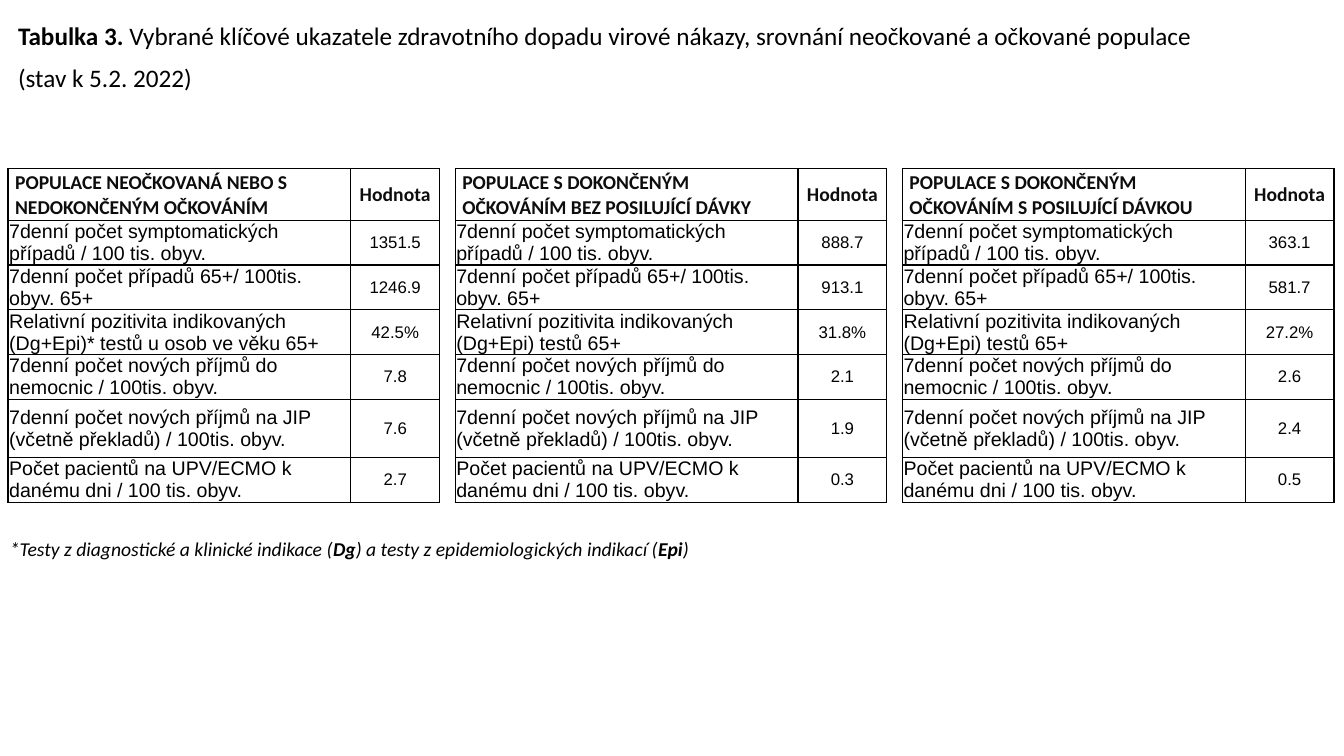
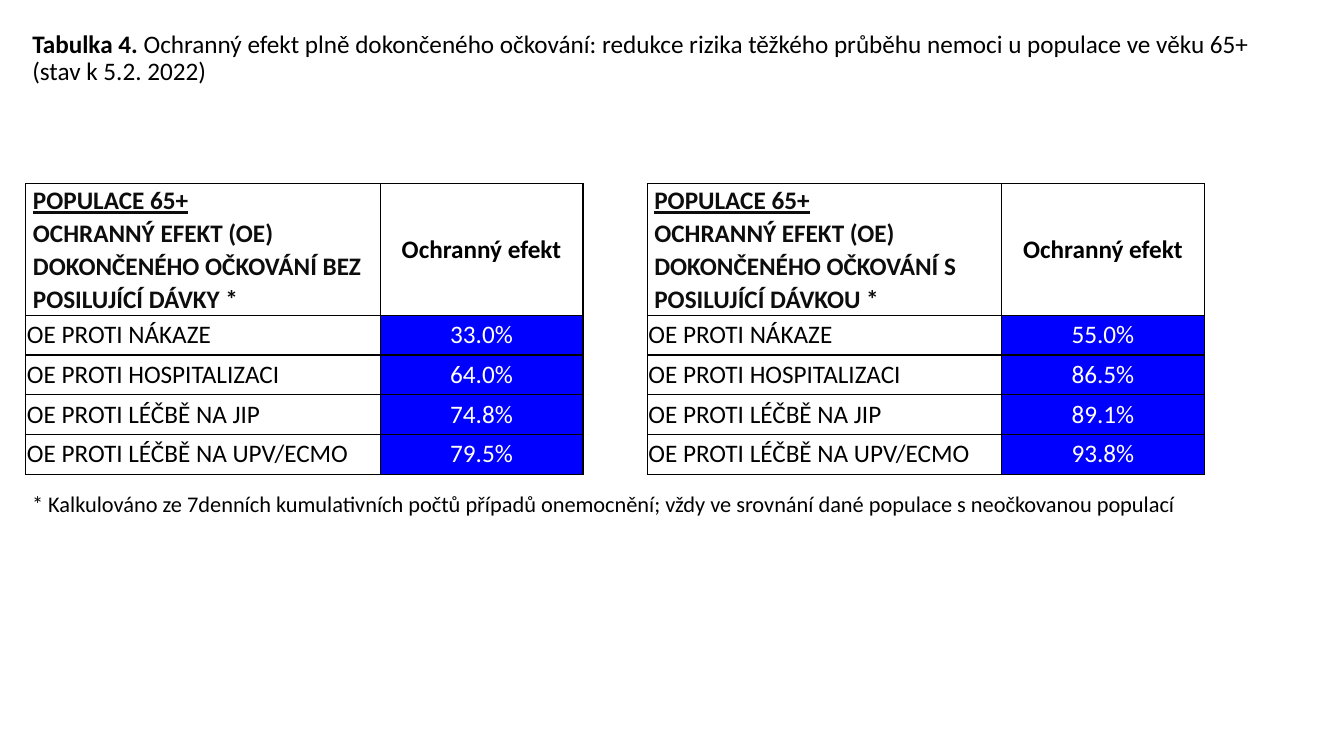
from dataclasses import dataclass

from lxml import etree
from pptx import Presentation
from pptx import util as u
from pptx.dml.color import RGBColor
from pptx.enum import text
from pptx.oxml import ns


@dataclass(frozen=True)
class TableStyle:
    label_font: str
    label_size: int
    value_size: int
    column_head: str
    column_head_ink: str
    value_ink: str
    value_fill: str


@dataclass(frozen=True)
class Theme:
    font: str = "Calibri"
    ink: str = "000000"
    head_ink: str = "0D0D0D"
    paper: str = "FFFFFF"
    title_size: int = 18
    title_spacing: float = 0.9
    head_spacing: float = 1.07
    border: float = 1
    indicators: TableStyle = TableStyle(
        "Arial", 14, 12, "Hodnota", "0D0D0D", "000000", "FFFFFF")
    effects: TableStyle = TableStyle(
        "Calibri", 18, 18, "Ochranný efekt", "000000", "FFFFFF", "0000FF")


class Deck:
    def __init__(self, theme):
        self.theme = theme
        self.presentation = Presentation()
        self.presentation.slide_width = u.Cm(33.87)
        self.presentation.slide_height = u.Cm(19.05)
        self.slide = None

    def add_slide(self):
        layout = self.presentation.slide_layouts.get_by_name("Title Only")
        self.slide = self.presentation.slides.add_slide(layout)

    def fill_text(self, frame, paragraphs, size, ink=None, font=None,
                  align=text.PP_ALIGN.LEFT, spacing=None, gap=0):
        for index, runs in enumerate(paragraphs):
            paragraph = frame.paragraphs[0] if index == 0 else frame.add_paragraph()
            paragraph.alignment = align
            paragraph.line_spacing = spacing
            paragraph.space_before = u.Pt(gap if index else 0)
            for words, marks in runs:
                run = paragraph.add_run()
                run.text = words
                run.font.name = font or self.theme.font
                run.font.size = u.Pt(size)
                run.font.color.rgb = RGBColor.from_string(ink or self.theme.ink)
                run.font.bold = "b" in marks
                run.font.italic = "i" in marks
                run.font.underline = "u" in marks

    def title(self, left, top, paragraphs):
        shape = self.slide.shapes.title
        shape.left, shape.top = u.Cm(left), u.Cm(top)
        shape.width, shape.height = u.Cm(32.26), u.Cm(2)
        frame = shape.text_frame
        frame.auto_size = text.MSO_AUTO_SIZE.NONE
        frame.word_wrap = True
        frame.vertical_anchor = text.MSO_ANCHOR.TOP
        self.fill_text(frame, paragraphs, self.theme.title_size,
                       spacing=self.theme.title_spacing, gap=10)

    def footnote(self, left, top, width, height, runs, size):
        shape = self.slide.shapes.add_textbox(
            u.Cm(left), u.Cm(top), u.Cm(width), u.Cm(height))
        shape.text_frame.word_wrap = True
        self.fill_text(shape.text_frame, [runs], size)

    def border(self, cell):
        properties = cell._tc.get_or_add_tcPr()
        for side in ("a:lnL", "a:lnR", "a:lnT", "a:lnB"):
            line = etree.SubElement(properties, ns.qn(side),
                                    w=str(u.Pt(self.theme.border)))
            fill = etree.SubElement(line, ns.qn("a:solidFill"))
            etree.SubElement(fill, ns.qn("a:srgbClr"), val=self.theme.ink)

    def cell(self, cell, paragraphs, size, fill=None, margin=0.03, **style):
        self.border(cell)
        cell.fill.solid()
        cell.fill.fore_color.rgb = RGBColor.from_string(fill or self.theme.paper)
        cell.vertical_anchor = text.MSO_ANCHOR.MIDDLE
        cell.margin_left = cell.margin_right = u.Cm(margin)
        cell.margin_top = cell.margin_bottom = 0
        self.fill_text(cell.text_frame, paragraphs, size, **style)

    def table(self, left, top, widths, heights, heading, labels, values, style):
        shape = self.slide.shapes.add_table(
            len(heights), len(widths), u.Cm(left), u.Cm(top),
            u.Cm(sum(widths)), u.Cm(sum(heights)))
        table = shape.table
        table.first_row = table.horz_banding = False
        for column, width in zip(table.columns, widths):
            column.width = u.Cm(width)
        for row, height in zip(table.rows, heights):
            row.height = u.Cm(height)
        center = text.PP_ALIGN.CENTER
        self.cell(table.cell(0, 0), heading, style.label_size, margin=0.18,
                  ink=self.theme.head_ink, spacing=self.theme.head_spacing)
        self.cell(table.cell(0, 1), [[(style.column_head, "b")]],
                  style.label_size, ink=style.column_head_ink, align=center)
        for row, (label, value) in enumerate(zip(labels, values), start=1):
            self.cell(table.cell(row, 0), [[(label, "")]], style.label_size,
                      font=style.label_font)
            self.cell(table.cell(row, 1), [[(value, "")]], style.value_size,
                      fill=style.value_fill, ink=style.value_ink,
                      font=style.label_font, align=center)


def indicator_slide(deck):
    deck.add_slide()
    deck.title(0.2, 0.48, [
        [("Tabulka 3. ", "b"),
         ("Vybrané klíčové ukazatele zdravotního dopadu virové nákazy, "
          "srovnání neočkované a očkované populace", "")],
        [("(stav k 5.2. 2022)", "")],
    ])
    positivity = "Relativní pozitivita indikovaných (Dg+Epi)"
    populations = [
        ("POPULACE NEOČKOVANÁ NEBO S NEDOKONČENÝM OČKOVÁNÍM",
         "* testů u osob ve věku 65+",
         ["1351.5", "1246.9", "42.5%", "7.8", "7.6", "2.7"]),
        ("POPULACE S DOKONČENÝM OČKOVÁNÍM BEZ POSILUJÍCÍ DÁVKY",
         " testů 65+",
         ["888.7", "913.1", "31.8%", "2.1", "1.9", "0.3"]),
        ("POPULACE S DOKONČENÝM OČKOVÁNÍM S POSILUJÍCÍ DÁVKOU",
         " testů 65+",
         ["363.1", "581.7", "27.2%", "2.6", "2.4", "0.5"]),
    ]
    heights = [1.3] + [1.13] * 4 + [1.46, 1.13]
    for index, (heading, tested, values) in enumerate(populations):
        labels = [
            "7denní počet symptomatických případů / 100 tis. obyv.",
            "7denní počet případů 65+/ 100tis. obyv. 65+",
            positivity + tested,
            "7denní počet nových příjmů do nemocnic / 100tis. obyv.",
            "7denní počet nových příjmů na JIP (včetně překladů) / 100tis. obyv.",
            "Počet pacientů na UPV/ECMO k danému dni / 100 tis. obyv.",
        ]
        deck.table(0.2 + 11.27 * index, 4.25, [8.64, 2.24], heights,
                   [[(heading, "b")]], labels, values, deck.theme.indicators)
    deck.footnote(0, 13.41, 25.4, 0.86, [
        ("*Testy z diagnostické a klinické indikace (", "i"),
        ("Dg", "bi"),
        (") a testy z epidemiologických indikací (", "i"),
        ("Epi", "bi"),
        (")", "i"),
    ], 14)


def effect_slide(deck):
    deck.add_slide()
    deck.title(0.56, 0.66, [
        [("Tabulka 4. ", "b"),
         ("Ochranný efekt plně dokončeného očkování: redukce rizika těžkého "
          "průběhu nemoci u populace ve věku 65+ (stav k 5.2. 2022)", "")],
    ])
    labels = ["OE PROTI " + outcome for outcome in (
        "NÁKAZE", "HOSPITALIZACI", "LÉČBĚ NA JIP", "LÉČBĚ NA UPV/ECMO")]
    populations = [
        (0.65, 3.31, "BEZ POSILUJÍCÍ DÁVKY *",
         ["33.0%", "64.0%", "74.8%", "79.5%"]),
        (16.31, 3.26, "S POSILUJÍCÍ DÁVKOU *",
         ["55.0%", "86.5%", "89.1%", "93.8%"]),
    ]
    for left, head_height, dose, values in populations:
        heading = [
            [("POPULACE 65+", "bu")],
            [("OCHRANNÝ EFEKT (OE) DOKONČENÉHO OČKOVÁNÍ " + dose, "b")],
        ]
        deck.table(left, 4.63, [8.93, 5.11], [head_height] + [1] * 4,
                   heading, labels, values, deck.theme.effects)
    deck.footnote(0.56, 12.22, 29.77, 0.94, [
        ("* Kalkulováno ze 7denních kumulativních počtů případů onemocnění; "
         "vždy ve srovnání dané populace s neočkovanou populací", ""),
    ], 16)


def main():
    deck = Deck(Theme())
    indicator_slide(deck)
    effect_slide(deck)
    deck.presentation.save("out.pptx")


if __name__ == "__main__":
    main()
